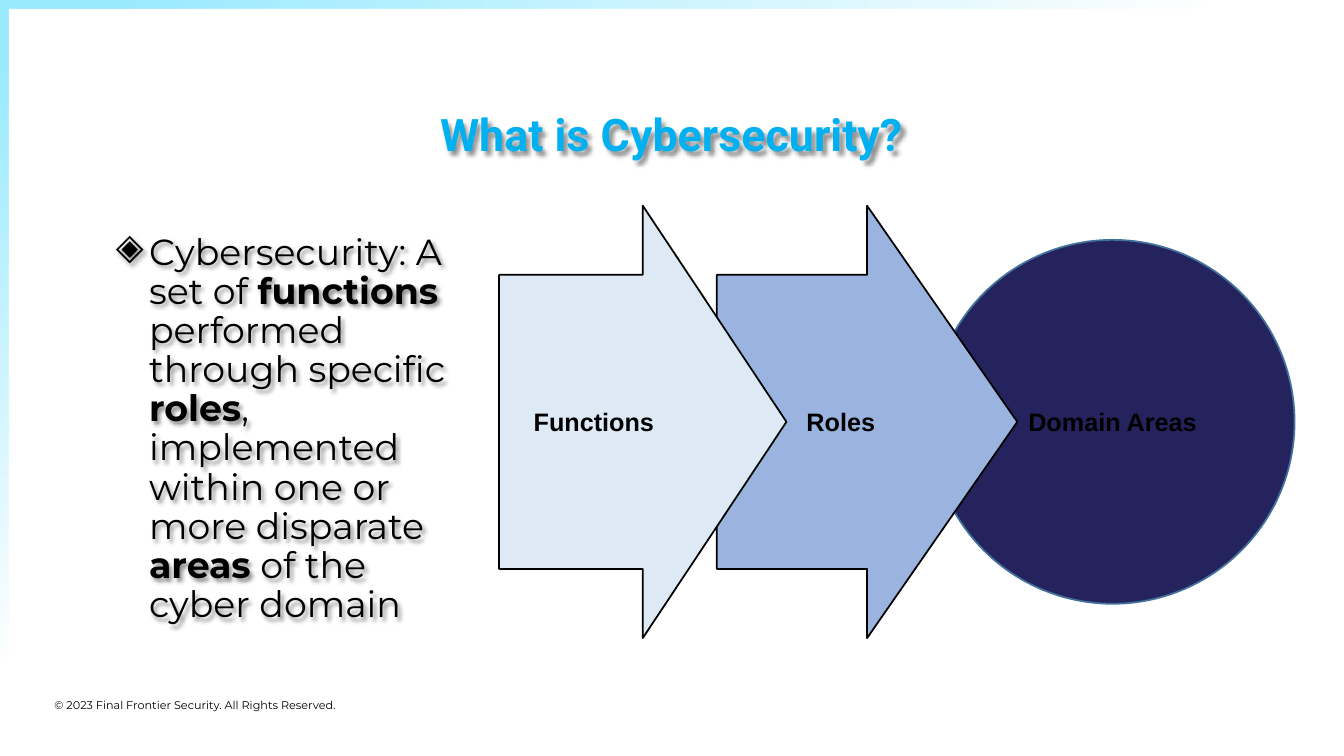
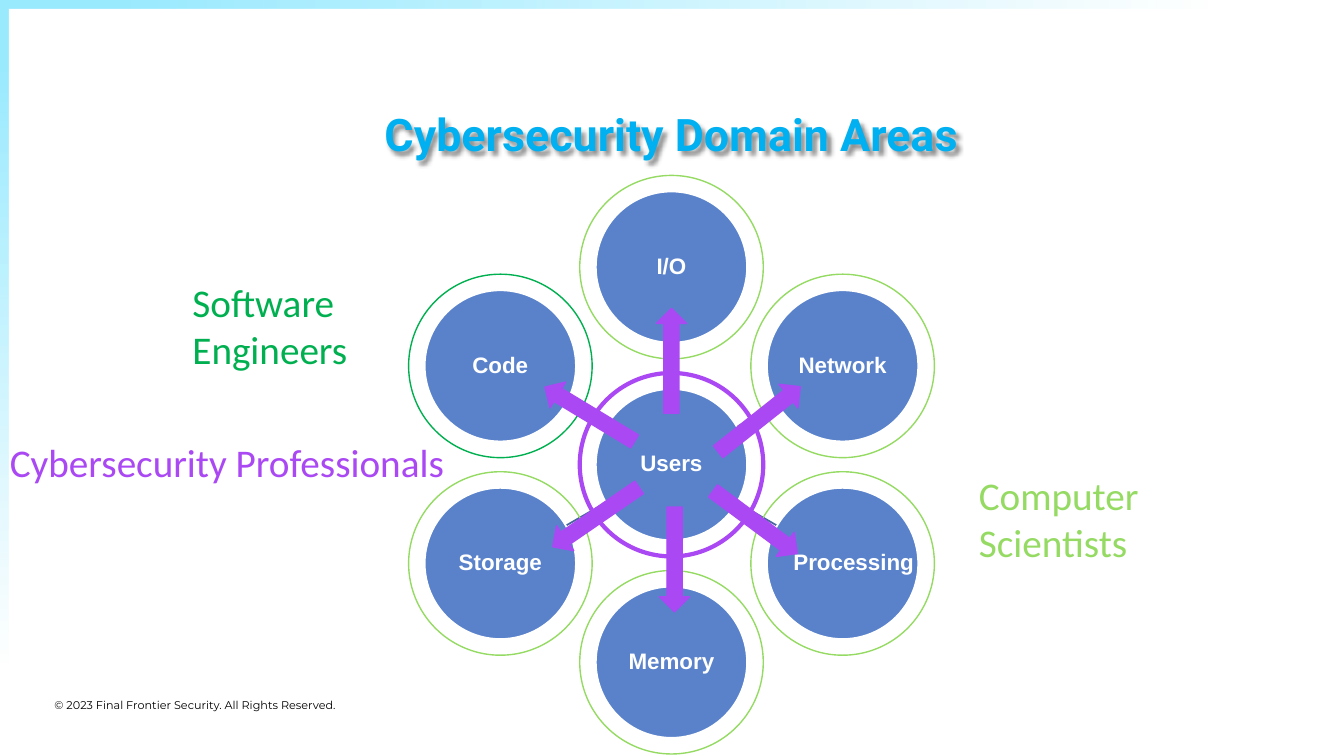
from math import cos, radians, sin

from lxml import etree
from pptx import Presentation
from pptx.dml.color import RGBColor
from pptx.enum.shapes import MSO_CONNECTOR, MSO_SHAPE
from pptx.enum.text import MSO_ANCHOR, PP_ALIGN
from pptx.oxml.ns import qn
from pptx.util import Inches, Pt

RECT, OVAL = MSO_SHAPE.RECTANGLE, MSO_SHAPE.OVAL
RIGHT, UP = MSO_SHAPE.RIGHT_ARROW, MSO_SHAPE.UP_ARROW
LINE = MSO_CONNECTOR.STRAIGHT
TOP, MIDDLE = MSO_ANCHOR.TOP, MSO_ANCHOR.MIDDLE
LEFT, CENTER = PP_ALIGN.LEFT, PP_ALIGN.CENTER

HEX = {
    "black": "000000", "white": "FFFFFF", "band": "9BEBFF", "title": "00B0F0",
    "navy": "25235D", "edge": "42719B", "mid": "9BB3DF", "pale": "DDEAF6",
    "node": "5982CB", "spoke": "47669F", "lime": "95DB63", "green": "00B050",
    "purple": "AA48F4",
}
RGB = {name: RGBColor.from_string(value) for name, value in HEX.items()}


def draw(slide, kind, box, fill=None, line=None, width=1.25):
    shape = slide.shapes.add_shape(kind, *map(Inches, box))
    shape.shadow.inherit = False
    if fill:
        shape.fill.solid()
        shape.fill.fore_color.rgb = RGB[fill]
    else:
        shape.fill.background()
    if line:
        shape.line.color.rgb = RGB[line]
        shape.line.width = Pt(width)
    else:
        shape.line.fill.background()
    return shape


def write(shape, text, size, face, color, bold=False, align=LEFT, anchor=TOP):
    frame = shape.text_frame
    frame.word_wrap = True
    frame.vertical_anchor = anchor
    para = frame.paragraphs[0]
    para.alignment = align
    for part, strong in text if isinstance(text, list) else [(text, bold)]:
        run = para.add_run()
        run.text = part
        run.font.bold = strong
    para.font.size = Pt(size)
    para.font.name = face
    para.font.color.rgb = RGB[color]
    return para


deck = Presentation()
deck.slide_width, deck.slide_height = Inches(13.33), Inches(7.5)
slides = []
for title in ["What is Cybersecurity?", "Cybersecurity Domain Areas"]:
    slide = deck.slides.add_slide(deck.slide_layouts[6])
    slides.append(slide)
    for box, angle in [((0, 0, 0.08, 6.58), 270), ((0, 0, 12, 0.08), 0)]:
        band = draw(slide, RECT, box)
        band.fill.gradient()
        band.fill.gradient_angle = angle
        for stop, place in zip(band.fill.gradient_stops, [0.1, 1]):
            stop.position = place
            stop.color.rgb = RGB["band"]
        clear = band.fill._xPr.findall(".//" + qn("a:srgbClr"))[-1]
        etree.SubElement(clear, qn("a:alpha"), val="0")

    foot = slide.shapes.add_textbox(Inches(0.54), Inches(6.93), Inches(6.12), Inches(0.4))
    frame = foot.text_frame
    frame.margin_left = frame.margin_right = frame.margin_top = frame.margin_bottom = 0
    write(foot, "© 2023 Final Frontier Security. All Rights Reserved.", 8, "Montserrat", "black")

    head = slide.shapes.add_textbox(Inches(1), Inches(0.67), Inches(11.32), Inches(1.38))
    para = write(head, title, 32, "Roboto", "title", True, CENTER, MIDDLE)
    para.line_spacing = 0.9
    slide.name = title

first, second = slides

body = first.shapes.add_textbox(Inches(1), Inches(2.27), Inches(3.68), Inches(4.06))
para = body.text_frame.paragraphs[0]
para.line_spacing = 0.9
props = para._p.get_or_add_pPr()
props.set("marL", str(Inches(0.38)))
props.set("indent", str(Inches(-0.33)))
etree.SubElement(props, qn("a:buChar"), char="◈")
write(body, [
    ("Cybersecurity: A set of ", False), ("functions", True),
    (" performed through specific ", False), ("roles", True),
    (", implemented within one or more disparate ", False), ("areas", True),
    (" of the cyber domain", False),
], 25.9, "Montserrat", "black")

for box in [first.shapes[3], body, second.shapes[3]]:
    effect = etree.SubElement(box._element.spPr, qn("a:effectLst"))
    shade = etree.SubElement(effect, qn("a:outerShdw"), blurRad="38100",
                             dist="38100", dir="2700000", algn="tl")
    tint = etree.SubElement(shade, qn("a:srgbClr"), val=HEX["black"])
    etree.SubElement(tint, qn("a:alpha"), val="43000")

for kind, box, fill, line, text, inset in [
    (OVAL, (9.23, 2.38, 3.61, 3.61), "navy", "edge", "Domain Areas", 0.1),
    (RIGHT, (7.11, 2.04, 2.98, 4.29), "mid", "black", "Roles", 0.59),
    (RIGHT, (4.95, 2.04, 2.85, 4.29), "pale", "black", "Functions", 0.1),
]:
    step = draw(first, kind, box, fill, line)
    if kind == RIGHT:
        step.adjustments[0], step.adjustments[1] = 0.68, 0.5
    step.text_frame.margin_left = Inches(inset)
    write(step, text, 18, "Arial", "black", True, CENTER, MIDDLE)

MID_X, MID_Y, REACH = 6.66, 4.61, 1.96
NODE, RING = 0.75, 0.91
nodes = [("Users", "purple", 0, 0)]
names = ["I/O", "Network", "Processing", "Memory", "Storage", "Code"]
for i, name in enumerate(names):
    turn = radians(60 * i)
    dx, dy = sin(turn), -cos(turn)
    nodes.append((name, "green" if name == "Code" else "lime", dx * REACH, dy * REACH))
    ends = [Inches(mid + part * far) for far in (NODE, REACH - NODE)
            for mid, part in ((MID_X, dx), (MID_Y, dy))]
    spoke = second.shapes.add_connector(LINE, *ends)
    spoke.line.color.rgb = RGB["spoke"]
    spoke.line.width = Pt(1.25)
    etree.SubElement(spoke._element.spPr, qn("a:effectLst"))

for name, color, dx, dy in nodes:
    x, y = MID_X + dx, MID_Y + dy
    node = draw(second, OVAL, (x - NODE, y - NODE, 2 * NODE, 2 * NODE), "node", "white")
    para = write(node, name, 16, "Arial", "white", True, CENTER, MIDDLE)
    para.line_spacing = 0.9
    frame = node.text_frame
    frame.word_wrap = False
    frame.margin_left = Inches(0.23 if name == "Processing" else 0.01)
    frame.margin_right = frame.margin_top = frame.margin_bottom = Inches(0.01)
    draw(second, OVAL, (x - RING, y - RING, 2 * RING, 2 * RING), None, color,
         3 if name == "Users" else 1)

for x, y, turn in [
    (6.51, 3.06, 0), (6.54, 5.03, 180), (7.38, 3.64, 51.6),
    (5.7, 3.59, 301.2), (5.76, 4.61, 235.5), (7.34, 4.66, 126.6),
]:
    arrow = draw(second, UP, (x, y, 0.3, 1.04), "purple", "purple", 1)
    arrow.rotation = turn

for text, color, box in [
    ("Computer Scientists", "lime", (9.61, 4.63, 2.51, 1.04)),
    ("Software Engineers", "green", (1.81, 2.71, 2.51, 1.04)),
    ("Cybersecurity Professionals", "purple", (0, 4.3, 4.83, 0.57)),
]:
    label = second.shapes.add_textbox(*map(Inches, box))
    write(label, text, 28, "Calibri", color)

deck.save("out.pptx")
